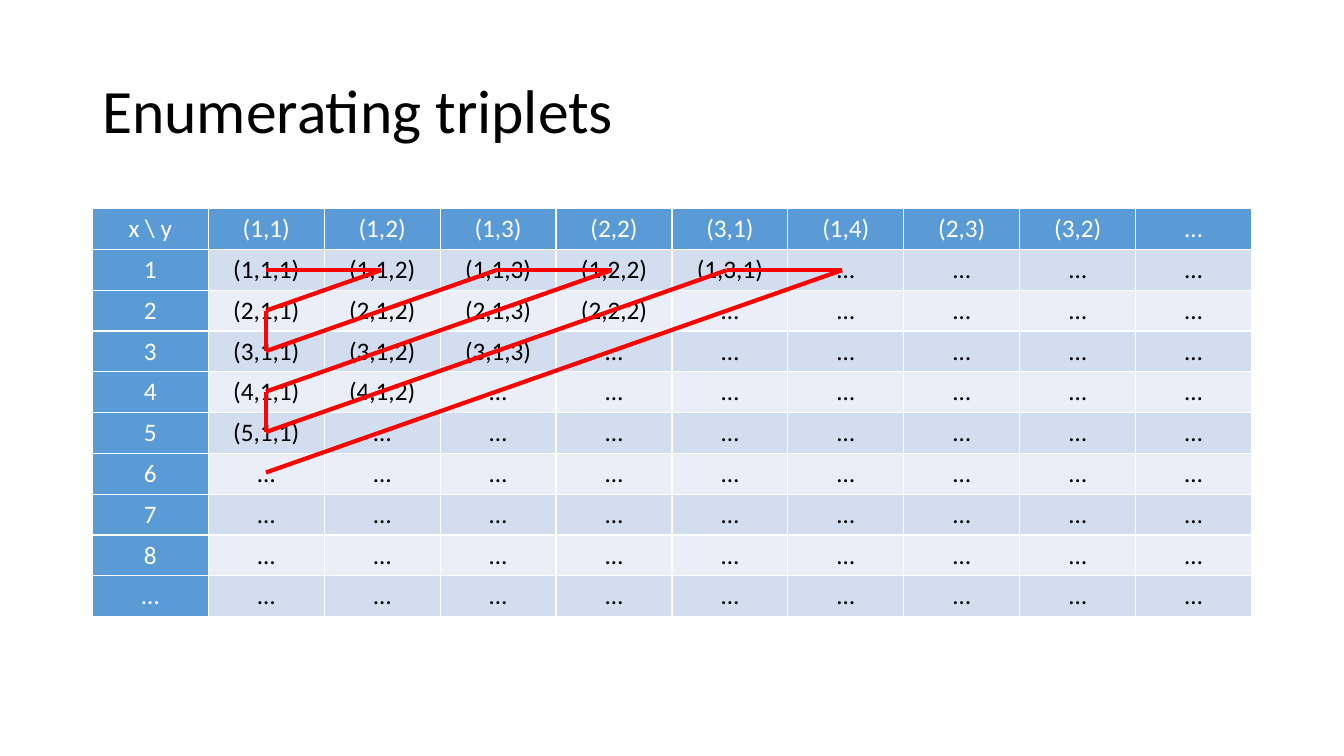
from itertools import pairwise

from lxml.etree import SubElement
from pptx import Presentation
from pptx.dml.color import RGBColor
from pptx.enum.shapes import MSO_CONNECTOR
from pptx.enum.text import MSO_ANCHOR, PP_ALIGN
from pptx.oxml.ns import qn
from pptx.util import Pt

BLACK = RGBColor(0x00, 0x00, 0x00)
WHITE = RGBColor(0xFF, 0xFF, 0xFF)
RED = RGBColor(0xFF, 0x00, 0x00)
HEADER_BLUE = RGBColor(0x5B, 0x9B, 0xD5)
ODD_BAND = RGBColor(0xD2, 0xDE, 0xEF)
EVEN_BAND = RGBColor(0xEA, 0xEF, 0xF7)

MORE = "…"
PAIRS = ["1,1", "1,2", "1,3", "2,2", "3,1", "1,4", "2,3", "3,2"]
HEADERS = ["x \\ y"] + [f"({pair})" for pair in PAIRS] + [MORE]
ROW_COUNT = 10
LAST_DIAGONAL = 6

# Cells visited in turn, as (column, row)
ZIGZAG = [(1, 1), (2, 1), (1, 2), (1, 3), (3, 1), (4, 1),
          (1, 4), (1, 5), (5, 1), (6, 1), (1, 6)]


def write_text(text_frame, text, size=18, color=BLACK,
               align=PP_ALIGN.LEFT, line_spacing=None):
    paragraph = text_frame.paragraphs[0]
    paragraph.alignment = align
    paragraph.line_spacing = line_spacing
    run = paragraph.add_run()
    run.text = text
    run.font.name = "Calibri"
    run.font.size = Pt(size)
    run.font.bold = False
    run.font.color.rgb = color


def add_title(slide, left, top, width, height):
    shape = slide.shapes.add_textbox(Pt(left), Pt(top), Pt(width), Pt(height))
    shape.text_frame.word_wrap = True
    shape.text_frame.vertical_anchor = MSO_ANCHOR.MIDDLE
    write_text(shape.text_frame, "Enumerating triplets", size=44, line_spacing=0.9)


def cell_text(row, column):
    if row == 0:
        return HEADERS[column]
    if column == 0:
        return str(row) if row < ROW_COUNT - 1 else MORE
    if row + column <= LAST_DIAGONAL:
        return f"({row},{PAIRS[column - 1]})"
    return MORE


def add_triplet_table(slide, left, top, width, height):
    table = slide.shapes.add_table(
        ROW_COUNT, len(HEADERS), Pt(left), Pt(top), Pt(width), Pt(height)).table
    table.first_col = True
    for table_column in table.columns:
        table_column.width = Pt(width / len(HEADERS))
    for row, table_row in enumerate(table.rows):
        table_row.height = Pt(height / ROW_COUNT)
        for column, cell in enumerate(table_row.cells):
            is_header = row == 0 or column == 0
            band = ODD_BAND if row % 2 else EVEN_BAND
            cell.fill.solid()
            cell.fill.fore_color.rgb = HEADER_BLUE if is_header else band
            write_text(cell.text_frame, cell_text(row, column),
                       color=WHITE if is_header else BLACK, align=PP_ALIGN.CENTER)


def add_zigzag(slide, left, top, column_step, row_step):
    points = [(Pt(left + (column - 1) * column_step), Pt(top + (row - 1) * row_step))
              for column, row in ZIGZAG]
    for start, end in pairwise(points):
        connector = slide.shapes.add_connector(MSO_CONNECTOR.STRAIGHT, *start, *end)
        connector.line.color.rgb = RED
        connector.line.width = Pt(3)
        # No shadow
        SubElement(connector._element.spPr, qn("a:effectLst"))


def main():
    presentation = Presentation()
    presentation.slide_width = Pt(960)
    presentation.slide_height = Pt(540)
    slide = presentation.slides.add_slide(presentation.slide_layouts[6])

    # Title
    add_title(slide, 66, 28.75, 828, 104.4)

    # Table of triplets
    add_triplet_table(slide, 66, 149, 828, 291.6)

    # Enumeration path, from the middle of the first triplet
    add_zigzag(slide, 190, 193, 82.3, 28.9)

    presentation.save("out.pptx")


if __name__ == "__main__":
    main()
